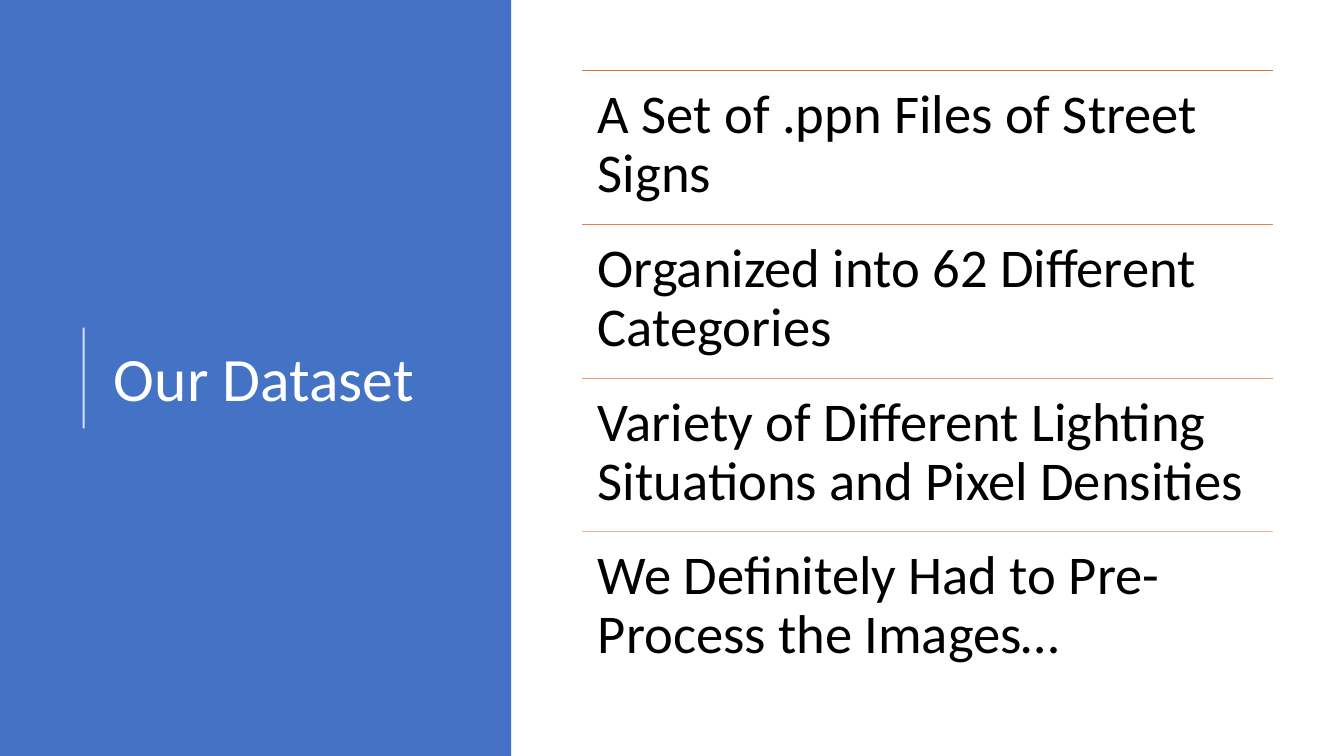
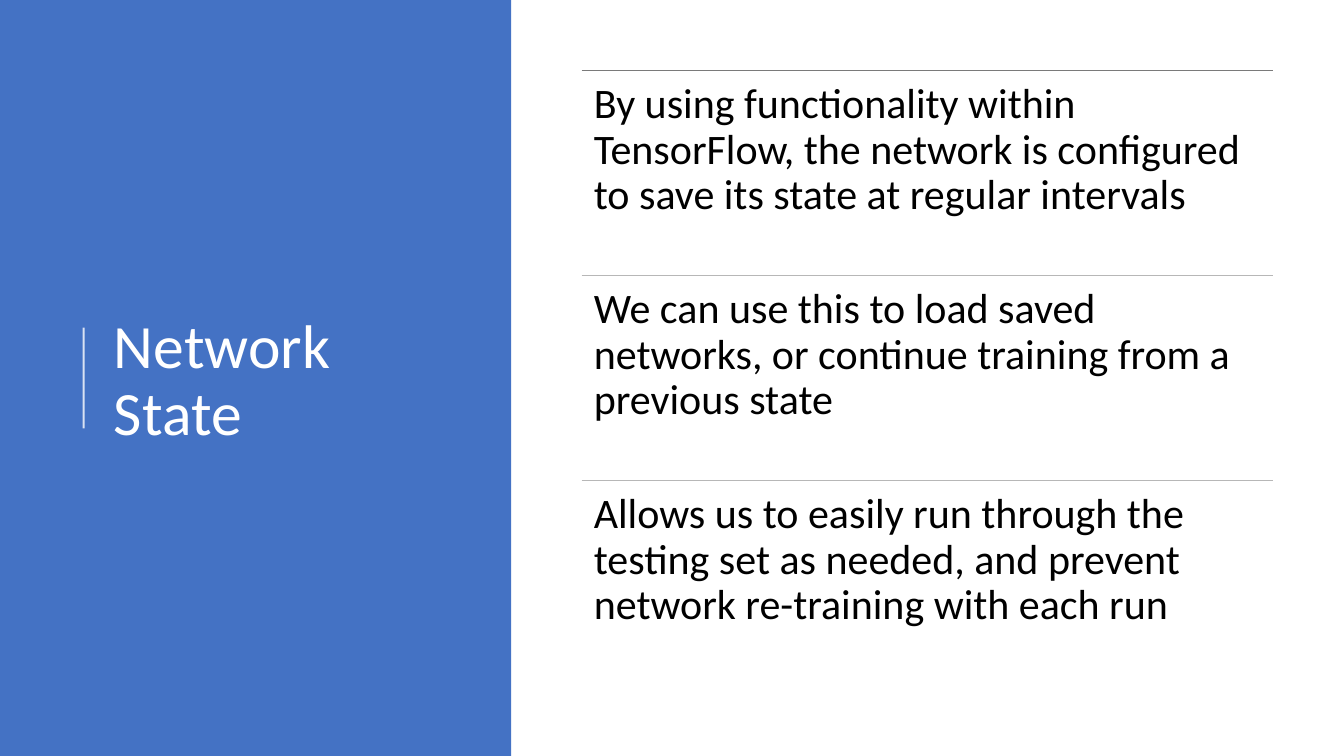
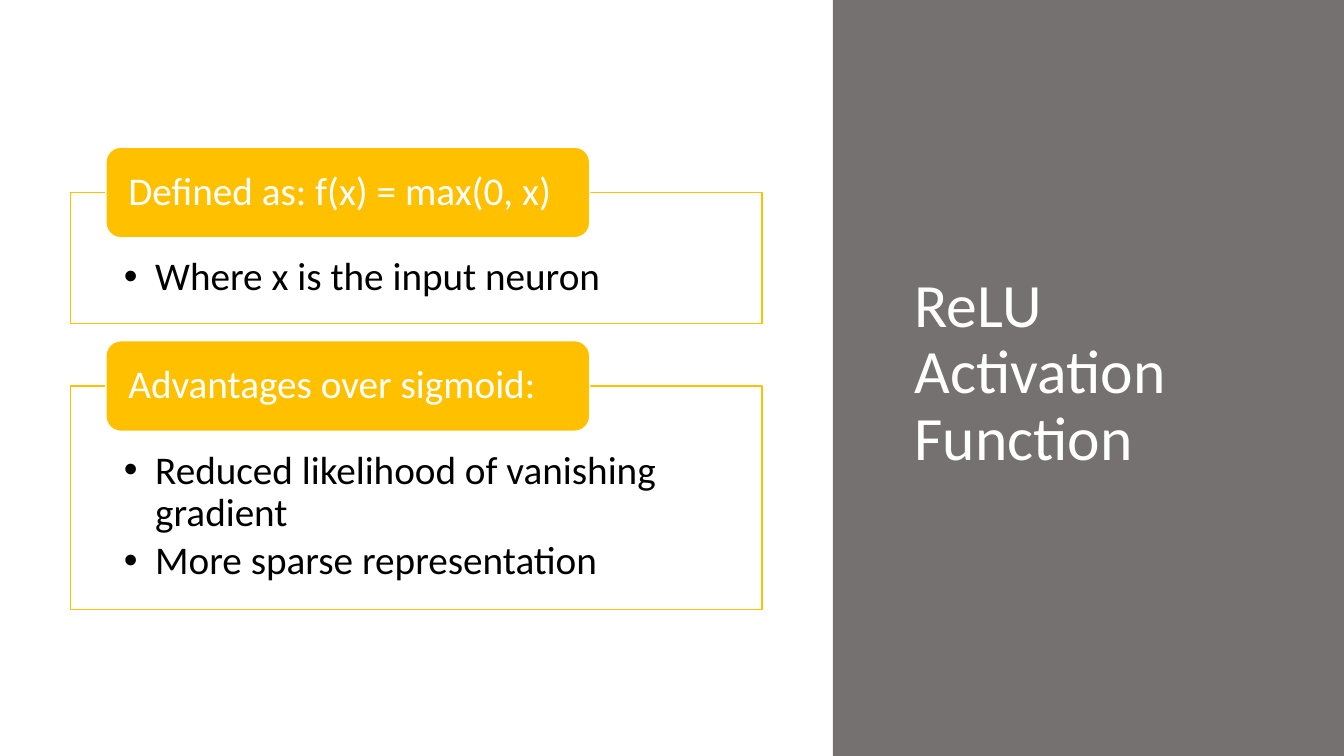
from lxml import etree
from pptx import Presentation
from pptx.dml.color import RGBColor
from pptx.enum.shapes import MSO_CONNECTOR, MSO_SHAPE
from pptx.enum.text import MSO_ANCHOR, MSO_AUTO_SIZE, PP_ALIGN
from pptx.oxml.ns import qn
from pptx.util import Inches, Pt

RECT, ROUND = MSO_SHAPE.RECTANGLE, MSO_SHAPE.ROUNDED_RECTANGLE
STRAIGHT = MSO_CONNECTOR.STRAIGHT
TOP, MIDDLE = MSO_ANCHOR.TOP, MSO_ANCHOR.MIDDLE
LEFT = PP_ALIGN.LEFT
NO_FIT = MSO_AUTO_SIZE.NONE

FONT = "Calibri"
WHITE, BLACK = "FFFFFF", "000000"
BLUE, GRAY, GOLD = "4472C4", "767171", "FFC000"
SLIDE_W, SLIDE_H = 13.33, 7.5
BAND_W = 5.07
CONTENT_W = 6.86
ROWS_LEFT, ROWS_TOP, ROWS_H = 5.77, 0.7, 6.1
CARD_LEFT, CARD_TOP, CARD_GAP = 0.7, 1.91, 0.62
TAB_W, TAB_H = 4.8, 0.9


def paint(fmt, color, alpha=None):
    fmt.solid()
    fmt.fore_color.rgb = RGBColor.from_string(color)
    if alpha:
        clr = fmt._xPr.find(qn("a:solidFill"))[0]
        etree.SubElement(clr, qn("a:alpha")).set("val", str(alpha * 1000))


def add_bullet(p, indent):
    pPr = p._p.get_or_add_pPr()
    pPr.set("marL", str(Inches(indent)))
    pPr.set("indent", str(-Inches(indent)))
    etree.SubElement(pPr, qn("a:buFont")).set("typeface", "Arial")
    etree.SubElement(pPr, qn("a:buChar")).set("char", "•")


def write(shape, paragraphs, size, color=BLACK, anchor=TOP, insets=(0.1, 0.05, 0.1, 0.05),
          bullet=None, gap=0):
    tf = shape.text_frame
    tf.word_wrap = True
    tf.auto_size = NO_FIT
    tf.vertical_anchor = anchor
    tf.margin_left, tf.margin_top, tf.margin_right, tf.margin_bottom = map(Inches, insets)
    for i, text in enumerate(paragraphs):
        p = tf.add_paragraph() if i else tf.paragraphs[0]
        if bullet:
            add_bullet(p, bullet)
        p.alignment = LEFT
        p.line_spacing = 0.9
        p.space_before = Pt(gap if i else 0)
        r = p.add_run()
        r.text = text
        r.font.name = FONT
        r.font.size = Pt(size)
        r.font.color.rgb = RGBColor.from_string(color)


def add_box(s, kind, left, top, width, height, fill, line=None, alpha=None):
    sp = s.shapes.add_shape(kind, *map(Inches, (left, top, width, height)))
    sp.shadow.inherit = False
    paint(sp.fill, fill, alpha)
    if line:
        paint(sp.line.fill, line)
        sp.line.width = Pt(1)
    else:
        sp.line.fill.background()
    return sp


def add_line(s, x1, y1, x2, y2, color, width, alpha=None):
    cxn = s.shapes.add_connector(STRAIGHT, *map(Inches, (x1, y1, x2, y2)))
    paint(cxn.line.fill, color, alpha)
    cxn.line.width = Pt(width)
    etree.SubElement(cxn._element.spPr, qn("a:effectLst"))


def add_slide(prs, title, band_left, band_color, title_at):
    s = prs.slides.add_slide(prs.slide_layouts[5])
    add_box(s, RECT, band_left, 0, BAND_W, SLIDE_H, band_color)
    sp = s.shapes.title
    sp._element.getparent().append(sp._element)
    sp.left, sp.top, sp.width, sp.height = map(Inches, title_at)
    write(sp, [title], 44, WHITE, MIDDLE)
    return s


def add_rows_slide(prs, title, rows, size, inset, line_width):
    s = add_slide(prs, title, 0, BLUE, (1.03, 0.78, 3.69, 6.02))
    add_line(s, 0.83, 4.25, 0.83, 3.25, WHITE, 1.5, alpha=80)
    row_h = ROWS_H / len(rows)
    for i, (text, color) in enumerate(rows):
        y = ROWS_TOP + i * row_h
        add_line(s, ROWS_LEFT, y, ROWS_LEFT + CONTENT_W, y, color, line_width)
        tb = s.shapes.add_textbox(*map(Inches, (ROWS_LEFT, y, CONTENT_W, row_h)))
        write(tb, [text], size, insets=[inset] * 4)


def add_cards_slide(prs, title, cards):
    s = add_slide(prs, title, SLIDE_W - BAND_W, GRAY, (8.97, 0.7, 4.01, 6.02))
    y = CARD_TOP
    for heading, bullets, height in cards:
        card = add_box(s, RECT, CARD_LEFT, y, CONTENT_W, height, WHITE, GOLD, alpha=90)
        write(card, bullets, 28, insets=(0.53, 0.64, 0.53, 0.22), bullet=0.31, gap=4)
        tab = add_box(s, ROUND, CARD_LEFT + 0.35, y - TAB_H / 2, TAB_W, TAB_H, GOLD, WHITE)
        write(tab, [heading], 28, WHITE, MIDDLE, (0.18, 0, 0.18, 0))
        y += height + CARD_GAP


def main():
    prs = Presentation()
    prs.slide_width, prs.slide_height = Inches(SLIDE_W), Inches(SLIDE_H)
    add_rows_slide(prs, "Our Dataset", [
        ("A Set of .ppn Files of Street Signs", "D7712C"),
        ("Organized into 62 Different Categories", "E28450"),
        ("Variety of Different Lighting Situations and Pixel Densities", "EB9A75"),
        ("We Definitely Had to Pre-Process the Images…", "F3B39B"),
    ], size=39, inset=0.16, line_width=0.5)
    add_rows_slide(prs, "Network State", [
        ("By using functionality within TensorFlow, the network is configured "
         "to save its state at regular intervals", "7A7A7A"),
        ("We can use this to load saved networks, or continue training "
         "from a previous state", "B7B7B7"),
        ("Allows us to easily run through the testing set as needed, "
         "and prevent network re-training with each run", "B7B7B7"),
    ], size=30, inset=0.12, line_width=1)
    add_cards_slide(prs, "ReLU Activation Function", [
        ("Defined as: f(x) = max(0, x)", ["Where x is the input neuron"], 1.3),
        ("Advantages over sigmoid:",
         ["Reduced likelihood of vanishing gradient", "More sparse representation"], 2.22),
    ])
    prs.save("out.pptx")


if __name__ == "__main__":
    main()
